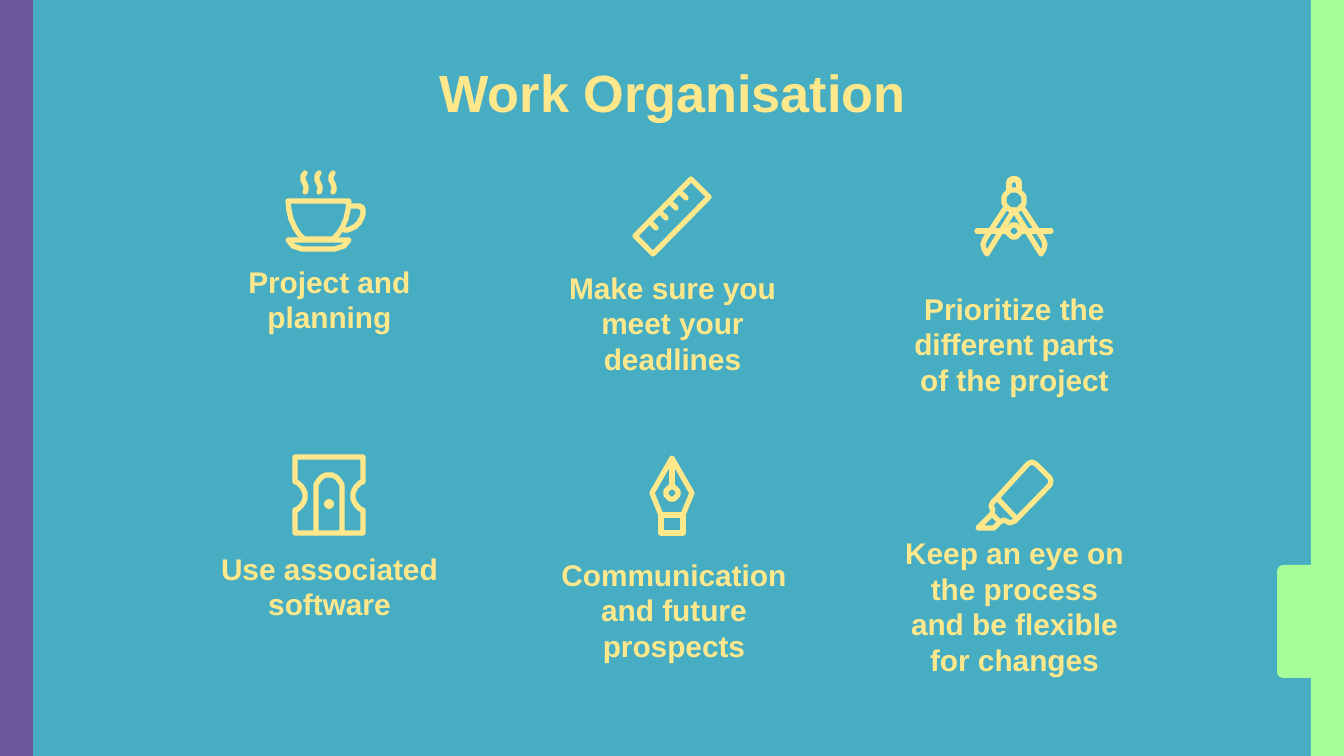
import math

from lxml import etree
from pptx import Presentation
from pptx import util as u
from pptx.dml.color import RGBColor
from pptx.enum import shapes, text
from pptx.oxml.ns import qn

PX = 914400 / 134.4
TEAL = RGBColor(0x47, 0xAD, 0xC2)
GREEN = RGBColor(0xA6, 0xFD, 0x9A)
PURPLE = RGBColor(0x6C, 0x56, 0x9C)
YELLOW = RGBColor(0xFF, 0xE8, 0x8B)
KIND = shapes.MSO_SHAPE


def px(*lengths):
    return [u.Emu(round(length * PX)) for length in lengths]


def arc(x, y, radius, start=0, end=360):
    angles = [math.radians(start + (end - start) * step / 24) for step in range(25)]
    return [(x + radius * math.cos(angle), y + radius * math.sin(angle)) for angle in angles]


deck = Presentation()
deck.slide_width, deck.slide_height = px(1344, 756)
page = deck.slides.add_slide(deck.slide_layouts[6])
page.background.fill.solid()
page.background.fill.fore_color.rgb = TEAL

solids = [
    (KIND.RECTANGLE, 1311, 0, 33, 756, GREEN),
    (KIND.RECTANGLE, 0, 0, 33, 756, PURPLE),
    (KIND.ROUND_2_SAME_RECTANGLE, 1239, 603, 113, 37, GREEN),
    (KIND.OVAL, 324, 499, 10, 10, YELLOW),
]
for kind, left, top, width, height, color in solids:
    solid = page.shapes.add_shape(kind, *px(left, top, width, height))
    solid.shadow.inherit = False
    solid.fill.solid()
    solid.fill.fore_color.rgb = color
    solid.line.fill.background()
    if kind == KIND.ROUND_2_SAME_RECTANGLE:
        solid.rotation = 270

labels = [
    ("Work Organisation", 79, 77, 1187, 40, 28, 0.8),
    ("Project and planning", 204, 272, 251, 54, 16, 1),
    ("Make sure you meet your deadlines", 547, 296, 251, 54, 16, 1),
    ("Prioritize the different parts of the project", 889, 317, 251, 54, 16, 1),
    ("Use associated software", 204, 559, 251, 54, 16, 1),
    ("Communication and future prospects", 546, 579, 256, 62, 16, 1),
    ("Keep an eye on the process and be flexible for changes", 889, 579, 251, 54, 16, 1),
]
for wording, left, top, width, height, size, spacing in labels:
    box = page.shapes.add_textbox(*px(left, top, width, height))
    frame = box.text_frame
    frame.text = wording
    frame.word_wrap = True
    frame.vertical_anchor = text.MSO_ANCHOR.MIDDLE
    frame.margin_left, frame.margin_top, frame.margin_right, frame.margin_bottom = px(13, 13, 13, 13)
    para = frame.paragraphs[0]
    para.alignment = text.PP_ALIGN.CENTER
    para.line_spacing = spacing
    span = para.runs[0]
    span.font.name = "Arial"
    span.font.size = u.Pt(size)
    span.font.bold = True
    span.font.color.rgb = YELLOW

cup = [
    ([(288, 201), (349, 201), (348, 210), (346, 219), (342, 228), (338, 234), (333, 239),
      (304, 239), (299, 234), (295, 228), (291, 219), (289, 210)], True),
    ([(288, 240), (349, 240), (344, 246), (335, 249), (302, 249), (293, 246)], True),
    ([(350, 206), *arc(358, 211, 5, -90, 0), *arc(344, 211, 19, 0, 90)], False),
]
steams = []
for x in (305, 319, 333):
    steams.append([([(x, 173), (x - 2, 176), (x - 2, 180), (x, 184),
                     (x + 1, 187), (x + 1, 190), (x, 192)], False)])

ruler = [([(691, 179), (709, 197), (653, 254), (635, 236)], True)]
for step in range(0, 40, 10):
    ruler.append(([(681 - step, 193 + step), (686 - step, 198 + step)], False))

compass = [
    (arc(1014, 200, 10), True),
    (arc(1014, 231, 6), True),
    ([(1009, 191), *arc(1014, 184, 5, -180, 0), (1019, 191)], False),
]
for side in (-1, 1):
    leg = [(8, 207), (29, 239), (31, 244), (30, 249), (27, 254), (0, 210)]
    compass.append(([(1014 + side * x, y) for x, y in leg], False))
    compass.append(([(1014 + side * 7, 231), (1014 + side * 37, 231)], False))

sharpener = [
    ([(295, 457), (363, 457), *arc(368, 496, 15, -109, -251),
      (363, 533), (295, 533), *arc(290, 496, 15, 71, -71)], True),
    ([(316, 533), *arc(329, 488, 13, -180, 0), (342, 533)], False),
]
pen = [
    ([(672, 458), (692, 493), (683, 515), (661, 515), (652, 493)], True),
    ([(661, 515), (683, 515), (683, 533), (661, 533)], True),
    ([(672, 460), (672, 487)], False),
    (arc(672, 493, 6), True),
]
marker = [
    ([(997, 498), (1028, 464), (1032, 462), (1036, 464), (1050, 478), (1051, 481),
      (1050, 485), (1015, 521), (1010, 523), (1004, 520), (1000, 522), (994, 528),
      (978, 528), (992, 514), (993, 510), (991, 506), (993, 502)], True),
    ([(997, 498), (1015, 517)], False),
    ([(992, 514), (1000, 522)], False),
]

for strokes in (marker, ruler, compass, pen, sharpener, *steams, cup):
    builder = page.shapes.build_freeform(*strokes[0][0][0], scale=PX)
    for points, closed in strokes:
        if points is not strokes[0][0]:
            builder.move_to(*points[0])
        builder.add_line_segments(points[1:], close=closed)
    icon = builder.convert_to_shape()
    icon.shadow.inherit = False
    icon.fill.background()
    icon.line.color.rgb = YELLOW
    icon.line.width = u.Pt(2.8)
    line = icon.line._get_or_add_ln()
    line.set("cap", "rnd")
    etree.SubElement(line, qn("a:round"))

deck.save("out.pptx")
